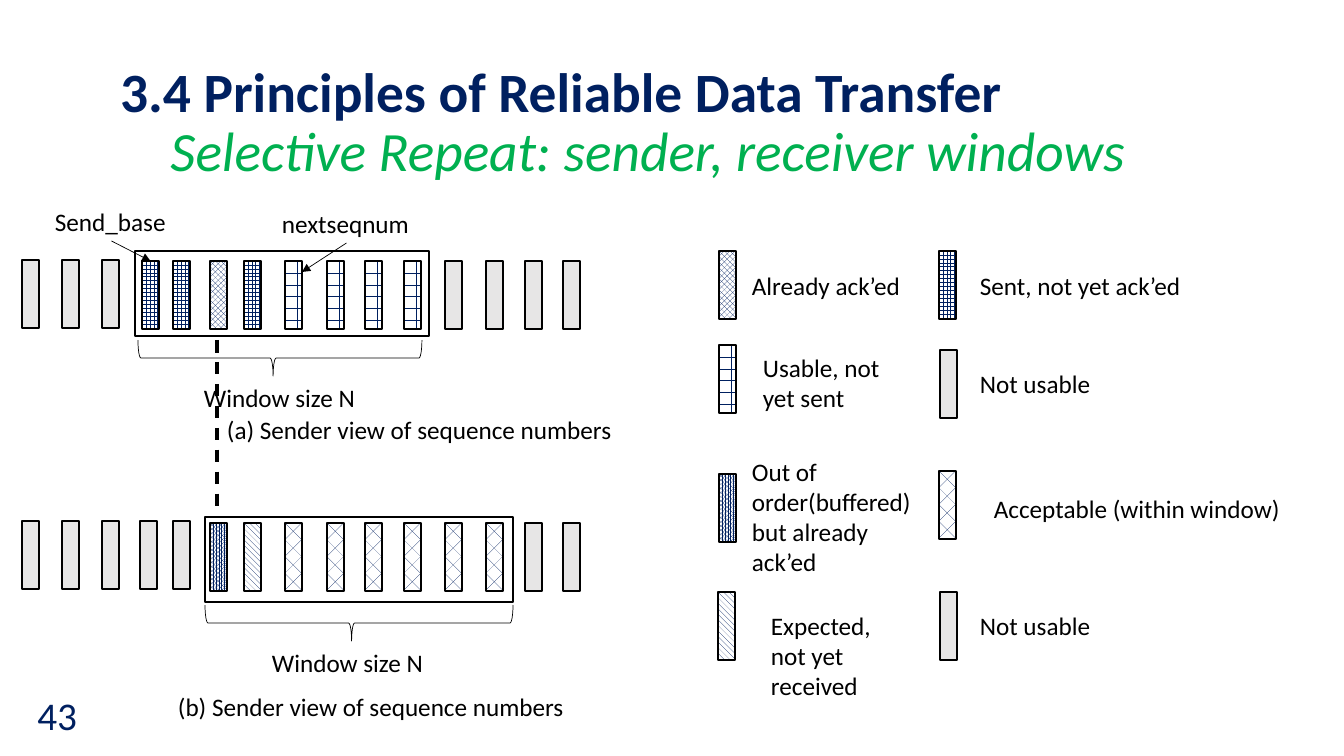
from lxml import etree
from pptx import Presentation
from pptx import util as u
from pptx.dml.color import RGBColor
from pptx.enum import dml, shapes, text
from pptx.oxml.ns import qn

COLOURS = {"navy": "002060", "green": "00B050", "black": "000000",
           "grey": "E7E6E6", "white": "FFFFFF"}
PATTERNS = {
    "sent": dml.MSO_PATTERN.LARGE_GRID,
    "usable": dml.MSO_PATTERN.HORIZONTAL_BRICK,
    "acked": dml.MSO_PATTERN.SOLID_DIAMOND,
    "expected": dml.MSO_PATTERN.WIDE_DOWNWARD_DIAGONAL,
    "acceptable": dml.MSO_PATTERN.DIAGONAL_BRICK,
    "buffered": dml.MSO_PATTERN.PERCENT_80,
}
BAR_WIDTH, BAR_HEIGHT = 17, 68


def px(length):
    return u.Emu(round(length * 914400 / 100.8))


def colour(name):
    return RGBColor.from_string(COLOURS[name])


class SlideBuilder:
    font = "Calibri"

    def __init__(self, page):
        self.page = page

    def run(self, para, words, size=18, tint="black", bold=False, italic=False):
        span = para.add_run()
        span.text = words
        span.font.name = self.font
        span.font.size = u.Pt(size)
        span.font.bold = bold
        span.font.italic = italic
        span.font.color.rgb = colour(tint)

    def title(self, x, y, width, height, first, second):
        box = self.page.shapes.title
        box.left, box.top, box.width, box.height = map(px, (x, y, width, height))
        box.text_frame.vertical_anchor = text.MSO_ANCHOR.MIDDLE
        box.text_frame.word_wrap = True
        para = box.text_frame.paragraphs[0]
        para.alignment = text.PP_ALIGN.LEFT
        para.line_spacing = 0.9
        self.run(para, first, 39.6, "navy", bold=True)
        para.add_line_break()
        self.run(para, "\t" + second, 39.6, "green", italic=True)

    def label(self, words, x, y, width, height=40, wrap=False):
        box = self.page.shapes.add_textbox(*map(px, (x, y, width, height)))
        box.text_frame.word_wrap = wrap
        box.text_frame.auto_size = text.MSO_AUTO_SIZE.SHAPE_TO_FIT_TEXT
        self.run(box.text_frame.paragraphs[0], words)
        return box

    def number(self, words, x, y, width, height):
        box = self.page.shapes.add_textbox(*map(px, (x, y, width, height)))
        box.text_frame.word_wrap = True
        box.text_frame.vertical_anchor = text.MSO_ANCHOR.MIDDLE
        para = box.text_frame.paragraphs[0]
        para.alignment = text.PP_ALIGN.RIGHT
        self.run(para, words, 28, "navy")

    def outline(self, kind, x, y, width, height, weight):
        shape = self.page.shapes.add_shape(kind, *map(px, (x, y, width, height)))
        shape.shadow.inherit = False
        shape.fill.background()
        shape.line.color.rgb = colour("black")
        shape.line.width = u.Pt(weight)
        return shape

    def frame(self, x, y, width, height):
        self.outline(shapes.MSO_SHAPE.RECTANGLE, x, y, width, height, 1.5)

    def bar(self, kind, x, y):
        shape = self.outline(shapes.MSO_SHAPE.RECTANGLE, x, y, BAR_WIDTH, BAR_HEIGHT, 1)
        if kind in PATTERNS:
            shape.fill.patterned()
            shape.fill.pattern = PATTERNS[kind]
            shape.fill.fore_color.rgb = colour("navy")
            shape.fill.back_color.rgb = colour("white")
        else:
            shape.fill.solid()
            shape.fill.fore_color.rgb = colour("grey")
        return shape

    def bars(self, kinds, lefts, tops):
        return [self.bar(*slot) for slot in zip(kinds, lefts, tops)]

    def brace(self, x, y, width, height):
        left = x + (width - height) / 2
        top = y + (height - width) / 2
        shape = self.outline(shapes.MSO_SHAPE.LEFT_BRACE, left, top, height, width, 0.5)
        shape.rotation = 270
        shape.adjustments[0] = 0.083
        shape.adjustments[1] = 0.476

    def line(self, x1, y1, x2, y2, weight):
        link = self.page.shapes.add_connector(
            shapes.MSO_CONNECTOR.STRAIGHT, *map(px, (x1, y1, x2, y2)))
        link.line.color.rgb = colour("black")
        link.line.width = u.Pt(weight)
        etree.SubElement(link._element.spPr, qn("a:effectLst"))
        return link

    def arrow(self, x1, y1, x2, y2):
        link = self.line(x1, y1, x2, y2, 0.5)
        etree.SubElement(link.line._get_or_add_ln(), qn("a:tailEnd"), type="triangle")
        return link


def main():
    deck = Presentation()
    deck.slide_width, deck.slide_height = px(1344), px(756)
    page = deck.slides.add_slide(deck.slide_layouts[5])
    slide = SlideBuilder(page)

    slide.title(110, 62, 1155, 124, "3.4 Principles of Reliable Data Transfer",
                "Selective Repeat: sender, receiver windows")
    slide.number("43", 0, 674, 87, 82)

    slide.frame(135, 251, 294, 85)
    sender = slide.bars(
        ["idle"] * 3 + ["sent", "sent", "acked", "sent"] + ["usable"] * 4 + ["idle"] * 4,
        [22, 62, 102, 142, 173, 210, 244, 285, 327, 365, 404, 445, 486, 525, 563],
        [260] * 3 + [261] * 12)
    slide.brace(138, 340, 284, 36)
    base = slide.label("Send_base", 45, 201, 133)
    next_number = slide.label("nextseqnum", 272, 203, 149)
    slide.label("Window size N", 194, 377, 173)
    slide.label("(a) Sender view of sequence numbers", 217, 409, 410)

    base_arrow = slide.arrow(112, 241, 150, 261)
    base_arrow.begin_connect(base, 2)
    base_arrow.end_connect(sender[3], 0)
    next_arrow = slide.arrow(347, 243, 302, 272)
    next_arrow.begin_connect(next_number, 2)

    slide.bars(
        ["idle"] * 5 + ["buffered", "expected"] + ["acceptable"] * 6 + ["idle"] * 2,
        [22, 62, 102, 140, 173, 210, 244, 285, 327, 365, 404, 445, 486, 525, 563],
        [521] * 5 + [523] * 10)
    slide.frame(205, 517, 308, 85)
    slide.brace(205, 605, 308, 36)
    slide.label("Window size N", 262, 642, 173)
    slide.label("(b) Sender view of sequence numbers", 168, 686, 411)

    dashed = slide.line(217, 340, 217, 508, 2.25)
    dashed.line.dash_style = dml.MSO_LINE.DASH

    legend = [
        ("acked", 719, 251, "Already ack’ed", 742, 265, 171, 40, False),
        ("sent", 939, 251, "Sent, not yet ack’ed", 970, 265, 223, 40, False),
        ("usable", 719, 345, "Usable, not yet sent", 753, 347, 169, 72, True),
        ("idle", 940, 350, "Not usable", 970, 363, 132, 40, False),
        ("buffered", 719, 474, "Out of order(buffered) but already ack’ed",
         742, 451, 198, 132, True),
        ("acceptable", 939, 471, "Acceptable (within window)", 984, 488, 309, 40, False),
        ("expected", 718, 592, "Expected, not yet received", 761, 605, 151, 102, True),
        ("idle", 940, 592, "Not usable", 970, 605, 132, 40, False),
    ]
    for kind, x, y, *caption in legend:
        slide.bar(kind, x, y)
        slide.label(*caption)

    deck.save("out.pptx")


if __name__ == "__main__":
    main()
